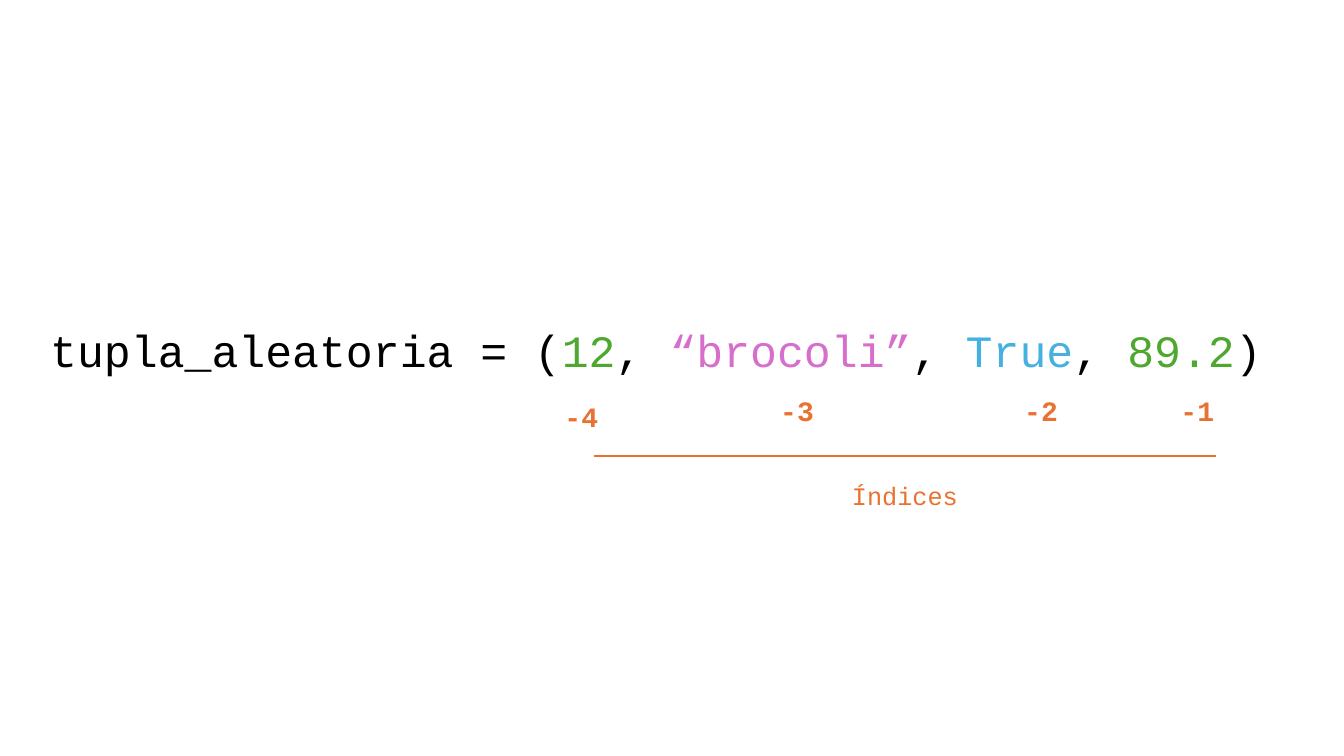
from lxml import etree
from pptx import Presentation, util as u
from pptx.dml.color import RGBColor
from pptx.enum import shapes, text
from pptx.oxml import ns

WHITE = RGBColor(0xFF, 0xFF, 0xFF)
BLACK = RGBColor(0x00, 0x00, 0x00)
GREEN = RGBColor(0x4E, 0xA7, 0x2E)
PINK = RGBColor(0xD8, 0x6E, 0xCC)
BLUE = RGBColor(0x46, 0xB1, 0xE1)
ORANGE = RGBColor(0xE9, 0x71, 0x32)

FONT = "Courier New"
CELL = u.Inches(0.1)  # side of one square of the layout grid
PANEL = (4, 25.9, 124.9, 28.4)  # left, top, width, height in grid cells

CODE = [
    ("tupla_aleatoria = (", BLACK),
    ("12", GREEN),
    (", ", BLACK),
    ("“brocoli”", PINK),
    (", ", BLACK),
    ("True", BLUE),
    (", ", BLACK),
    ("89.2", GREEN),
    (")", BLACK),
]
# index, column and row inside the panel
INDICES = [("-4", 51, 13.2), ("-3", 72.4, 12.6), ("-2", 96.6, 12.6), ("-1", 112.1, 12.6)]


def cells(*counts):
    return [int(count * CELL) for count in counts]


def add_text(parent, box, runs, size, bold=False, align=text.PP_ALIGN.LEFT):
    """Add a one-line text box made of (wording, colour) runs."""
    frame = parent.shapes.add_textbox(*cells(*box)).text_frame
    frame.word_wrap = True
    frame.auto_size = text.MSO_AUTO_SIZE.SHAPE_TO_FIT_TEXT
    paragraph = frame.paragraphs[0]
    paragraph.alignment = align
    for wording, colour in runs:
        run = paragraph.add_run()
        run.text = wording
        run.font.name = FONT
        run.font.size = u.Pt(size)
        run.font.bold = bold
        run.font.color.rgb = colour


def add_panel(parent, box):
    panel = parent.shapes.add_shape(shapes.MSO_SHAPE.RECTANGLE, *cells(*box))
    panel.shadow.inherit = False
    panel.fill.solid()
    panel.fill.fore_color.rgb = WHITE
    panel.line.color.rgb = WHITE
    panel.line.width = u.Pt(1.5)


def add_index_range(parent, left, top, width):
    """Draw the rule under the indices with its caption centred below."""
    rule = parent.shapes.add_connector(
        shapes.MSO_CONNECTOR.STRAIGHT, *cells(left, top, left + width, top))
    rule.line.color.rgb = ORANGE
    rule.line.width = u.Pt(1.5)
    etree.SubElement(rule._element.spPr, ns.qn("a:effectLst"))
    add_text(parent, (left, top + 2, width, 4), [("Índices", ORANGE)], 18,
             align=text.PP_ALIGN.CENTER)


def add_tuple_diagram(slide, box):
    left, top, _, _ = box
    group = slide.shapes.add_group_shape()
    add_panel(group, box)
    add_text(group, (left, top + 5.6, 122.7, 6.4), CODE, 32)
    for index, column, row in INDICES:
        add_text(group, (left + column, top + row, 5.5, 4.4), [(index, ORANGE)], 20, bold=True)
    add_index_range(group, left + 54.9, top + 19.3, 61.7)


def main():
    presentation = Presentation()
    presentation.slide_width = u.Inches(13.33)
    presentation.slide_height = u.Inches(7.5)
    slide = presentation.slides.add_slide(presentation.slide_layouts[6])
    add_tuple_diagram(slide, PANEL)
    presentation.save("out.pptx")


if __name__ == "__main__":
    main()
